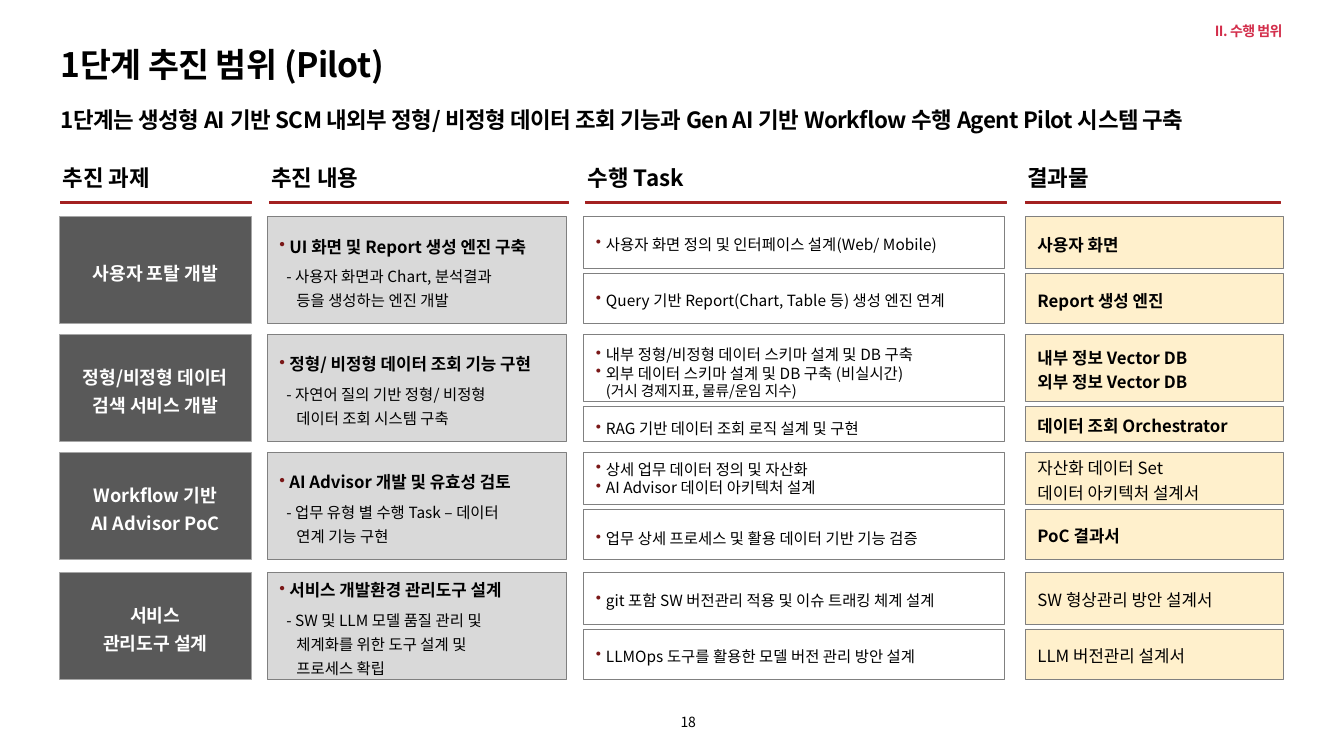
import pptx
import pptx.dml.color
import pptx.enum.shapes
import pptx.enum.text
import pptx.oxml.ns
import pptx.util
from lxml import etree
from pptx.util import Inches

FONT = "Noto Sans CJK JP"
BLACK, WHITE, RED, BULLET_RED = "000000", "FFFFFF", "A32020", "7A1818"
DARK_GRAY, LIGHT_GRAY, BORDER_GRAY, CREAM = "595959", "D9D9D9", "808080", "FFF0CC"
LEFT, CENTER, RIGHT = (
    pptx.enum.text.PP_ALIGN.LEFT, pptx.enum.text.PP_ALIGN.CENTER, pptx.enum.text.PP_ALIGN.RIGHT)
TOP, MIDDLE, BOTTOM = (
    pptx.enum.text.MSO_ANCHOR.TOP, pptx.enum.text.MSO_ANCHOR.MIDDLE, pptx.enum.text.MSO_ANCHOR.BOTTOM)

ROW_HEIGHT, BOX_GAP = 1.06, 0.05
BOX_INSETS = (0.12, 0.05, 0.04, 0.05)

# Heading, left edge, width
COLUMNS = [
    ("추진 과제", 0.6, 1.89),
    ("추진 내용", 2.67, 2.97),
    ("수행 Task", 5.81, 4.17),
    ("결과물", 10.17, 2.53),
]

# Tasks hold (line spacing, text); results hold (bold, texts).
ROWS = [
    dict(top=2.15, upper=0.51, project="사용자 포탈 개발",
         content="UI 화면 및 Report 생성 엔진 구축",
         detail="- 사용자 화면과 Chart, 분석결과\n등을 생성하는 엔진 개발",
         tasks=[[(1.2, "사용자 화면 정의 및 인터페이스 설계(Web/ Mobile)")],
                [(1.2, "Query 기반 Report(Chart, Table 등) 생성 엔진 연계")]],
         results=[(True, ["사용자 화면"]), (True, ["Report 생성 엔진"])]),
    dict(top=3.32, upper=0.66, project="정형/비정형 데이터\n검색 서비스 개발",
         content="정형/ 비정형 데이터 조회 기능 구현",
         detail="- 자연어 질의 기반 정형/ 비정형\n데이터 조회 시스템 구축",
         tasks=[[(1.5, "내부 정형/비정형 데이터 스키마 설계 및 DB 구축"),
                 (1.0, "외부 데이터 스키마 설계 및 DB 구축 (비실시간)\n(거시 경제지표, 물류/운임 지수)")],
                [(1.5, "RAG 기반 데이터 조회 로직 설계 및 구현")]],
         results=[(True, ["내부 정보 Vector DB", "외부 정보 Vector DB"]),
                  (True, ["데이터 조회 Orchestrator"])]),
    dict(top=4.49, upper=0.51, project="Workflow 기반\nAI Advisor PoC",
         content="AI Advisor 개발 및 유효성 검토",
         detail="- 업무 유형 별 수행 Task – 데이터\n연계 기능 구현",
         tasks=[[(1.0, "상세 업무 데이터 정의 및 자산화"),
                 (1.0, "AI Advisor 데이터 아키텍처 설계")],
                [(1.5, "업무 상세 프로세스 및 활용 데이터 기반 기능 검증")]],
         results=[(False, ["자산화 데이터 Set", "데이터 아키텍처 설계서"]),
                  (True, ["PoC 결과서"])]),
    dict(top=5.68, upper=0.51, project="서비스\n관리도구 설계",
         content="서비스 개발환경 관리도구 설계",
         detail="- SW 및 LLM 모델 품질 관리 및\n체계화를 위한 도구 설계 및\n프로세스 확립",
         tasks=[[(1.2, "git 포함 SW 버전관리 적용 및 이슈 트래킹 체계 설계")],
                [(1.2, "LLMOps 도구를 활용한 모델 버전 관리 방안 설계")]],
         results=[(False, ["SW 형상관리 방안 설계서"]), (False, ["LLM 버전관리 설계서"])]),
]


def rgb(value):
    return pptx.dml.color.RGBColor.from_string(value)


def add_element(parent, tag, **attributes):
    return etree.SubElement(parent, pptx.oxml.ns.qn(tag), attributes)


def set_indent(paragraph, left, first_line):
    properties = paragraph._p.get_or_add_pPr()
    properties.set("marL", str(Inches(left)))
    properties.set("indent", str(Inches(first_line)))


def set_bullet(paragraph):
    set_indent(paragraph, 0.1, -0.1)
    properties = paragraph._p.get_or_add_pPr()
    add_element(add_element(properties, "a:buClr"), "a:srgbClr", val=BULLET_RED)
    add_element(properties, "a:buChar", char="•")


def add_run(paragraph, text, size, color, bold, tracking):
    run = paragraph.add_run()
    run.text = text
    run.font.size = pptx.util.Pt(size)
    run.font.bold = bold
    run.font.color.rgb = rgb(color)
    run.font.name = FONT
    properties = run._r.get_or_add_rPr()
    add_element(properties, "a:ea", typeface=FONT)
    if tracking:
        properties.set("spc", str(round(tracking * 100)))


def add_paragraph(frame, text, size, color=BLACK, bold=False, align=LEFT, spacing=1.0,
                  after=0, bullet=False, indent=None, tracking=0, later_size=None):
    """Fill the first empty paragraph or append one; later_size applies after a line break."""
    paragraph = frame.paragraphs[0]
    if paragraph.runs:
        paragraph = frame.add_paragraph()
    paragraph.alignment = align
    paragraph.line_spacing = spacing
    paragraph.space_after = pptx.util.Pt(after)
    if bullet:
        set_bullet(paragraph)
    if indent:
        set_indent(paragraph, *indent)
    for number, line in enumerate(text.split("\n")):
        if number:
            paragraph.add_line_break()
            add_element(paragraph._p[-1], "a:rPr", sz=str(size * 100))
        line_size = later_size if number and later_size else size
        add_run(paragraph, line, line_size, color, bold, tracking)


def prepare_frame(shape, insets, anchor):
    frame = shape.text_frame
    frame.word_wrap = True
    frame.vertical_anchor = anchor
    (frame.margin_left, frame.margin_top,
     frame.margin_right, frame.margin_bottom) = map(Inches, insets)
    return frame


def add_label(slide, bounds, text, size, anchor=TOP, **style):
    shape = slide.shapes.add_textbox(*map(Inches, bounds))
    add_paragraph(prepare_frame(shape, (0, 0, 0, 0), anchor), text, size, **style)


def add_box(slide, bounds, fill=None, line=BORDER_GRAY, line_width=0.5, insets=BOX_INSETS):
    """Add a bordered rectangle and return its text frame."""
    shape = slide.shapes.add_shape(
        pptx.enum.shapes.MSO_SHAPE.RECTANGLE, *map(Inches, bounds))
    shape.shadow.inherit = False
    if fill:
        shape.fill.solid()
        shape.fill.fore_color.rgb = rgb(fill)
    else:
        shape.fill.background()
    shape.line.color.rgb = rgb(line)
    shape.line.width = pptx.util.Pt(line_width)
    return prepare_frame(shape, insets, MIDDLE)


def add_column_heading(slide, text, left, width):
    add_box(slide, (left, 2, width, 0.02), RED, RED, 0.75)
    add_label(slide, (left + 0.02, 1.63, width, 0.27), text, 16, bold=True)


def add_row(slide, row):
    top, upper = row["top"], row["upper"]
    project = add_box(slide, (0.59, top, 1.9, ROW_HEIGHT), DARK_GRAY, "A6A6A6",
                      insets=(0.04, 0.08, 0.04, 0.08))
    add_paragraph(project, row["project"], 13, WHITE, True, CENTER, 1.3)

    content = add_box(slide, (2.65, top, 2.97, ROW_HEIGHT), LIGHT_GRAY)
    add_paragraph(content, row["content"], 12, bold=True, spacing=1.3, after=4, bullet=True)
    add_paragraph(content, row["detail"], 11, spacing=1.3, after=4, indent=(0.17, -0.1))

    lower_top = top + upper + BOX_GAP
    spans = [(top, upper), (lower_top, top + ROW_HEIGHT - lower_top)]
    for (box_top, height), tasks, (bold, results) in zip(spans, row["tasks"], row["results"]):
        task_frame = add_box(slide, (5.79, box_top, 4.17, height))
        for spacing, text in tasks:
            add_paragraph(task_frame, text, 11, spacing=spacing, bullet=True, later_size=10.5)
        result_frame = add_box(slide, (10.17, box_top, 2.56, height), CREAM)
        for text in results:
            add_paragraph(result_frame, text, 12, bold=bold, spacing=1.2)


def main():
    presentation = pptx.Presentation()
    presentation.slide_width, presentation.slide_height = Inches(13.33), Inches(7.5)
    slide = presentation.slides.add_slide(presentation.slide_layouts[6])

    add_label(slide, (0.6, 0.44, 12.13, 0.54), "1단계 추진 범위 (Pilot)", 24,
              bold=True, tracking=-0.4)
    add_label(slide, (0.6, 1, 12.13, 0.47),
              "1단계는 생성형 AI 기반 SCM 내외부 정형/ 비정형 데이터 조회 기능과 "
              "Gen AI 기반 Workflow 수행 Agent Pilot 시스템 구축",
              16, bold=True, spacing=1.2, tracking=-0.3)
    add_label(slide, (9.76, 0.22, 2.96, 0.1), "II. 수행 범위", 10,
              color="D32E4B", bold=True, align=RIGHT, tracking=-0.4)
    for column in COLUMNS:
        add_column_heading(slide, *column)
    for row in ROWS:
        add_row(slide, row)
    add_label(slide, (3.12, 7.08, 3.78, 0.17), "18", 10, anchor=BOTTOM,
              align=RIGHT, tracking=-0.3)
    presentation.save("out.pptx")


if __name__ == "__main__":
    main()
